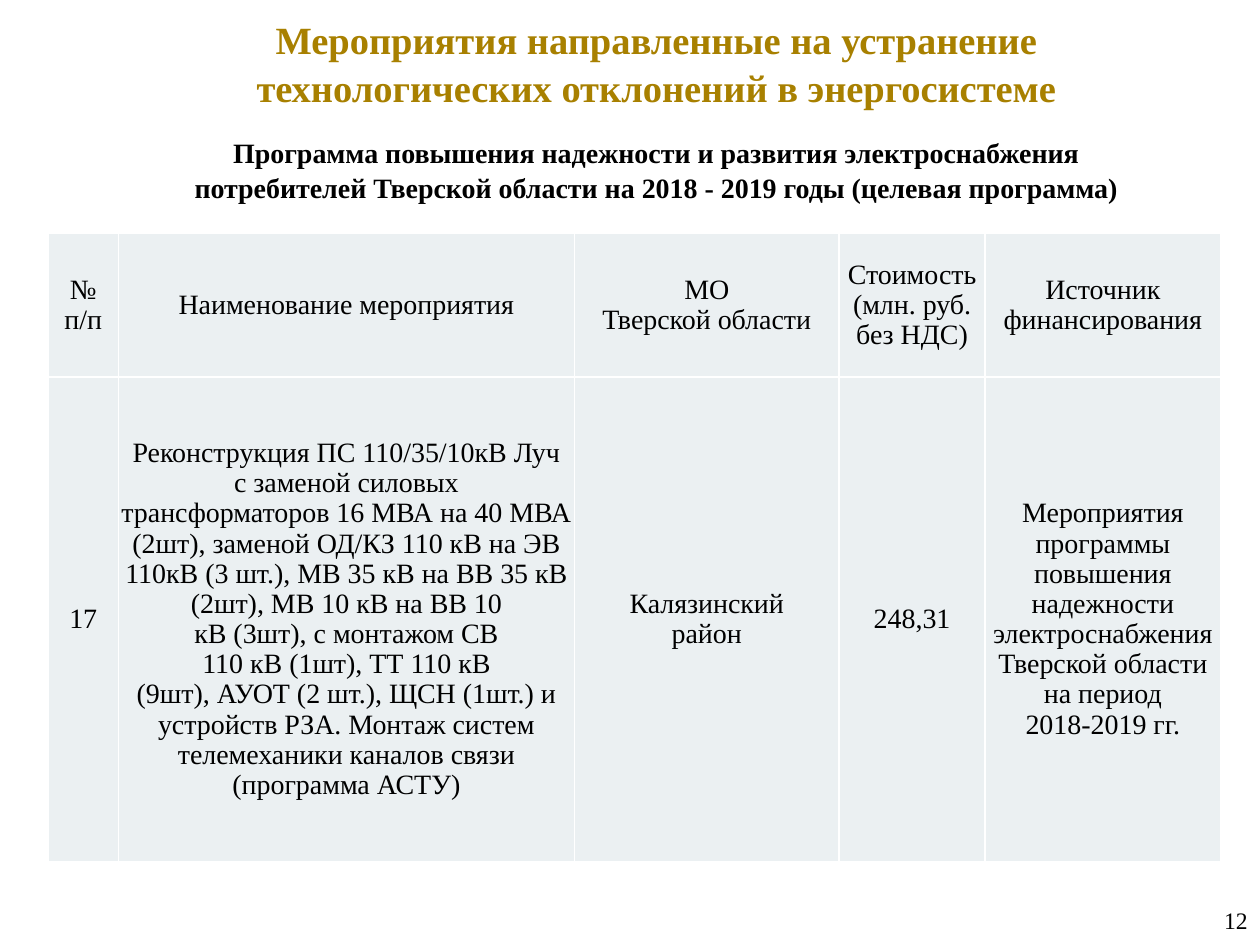
"""Build the slide on grid reliability measures in the Tver region."""
from dataclasses import dataclass

from lxml.etree import SubElement
from pptx import Presentation
from pptx.dml.color import RGBColor
from pptx.enum.text import MSO_ANCHOR, MSO_AUTO_SIZE, PP_ALIGN
from pptx.oxml.ns import qn
from pptx.util import Pt


@dataclass(frozen=True)
class Theme:
    font: str = "Times New Roman"
    gold: str = "A88000"
    black: str = "000000"
    white: str = "FFFFFF"
    cell: str = "EBF0F2"
    title: float = 22
    text: float = 16
    number: float = 13.5


theme = Theme()


def format_paragraph(p, size, color, align=PP_ALIGN.CENTER, bold=False):
    p.alignment = align
    for r in p.runs:
        r.font.name = theme.font
        r.font.size = Pt(size)
        r.font.bold = bold
        r.font.color.rgb = RGBColor.from_string(color)


def add_borders(cell, color, width):
    tc_pr = cell._tc.get_or_add_tcPr()
    for side in ("a:lnL", "a:lnR", "a:lnT", "a:lnB"):
        ln = SubElement(tc_pr, qn(side), w=str(Pt(width)))
        fill = SubElement(ln, qn("a:solidFill"))
        SubElement(fill, qn("a:srgbClr"), val=color)


prs = Presentation()
prs.slide_width, prs.slide_height = Pt(720), Pt(540)
s = prs.slides.add_slide(prs.slide_layouts[5])

title = s.shapes.title
title.left, title.top, title.width, title.height = Pt(101.5), Pt(3.6), Pt(547), Pt(45.4)
tf = title.text_frame
tf.text = (
    "Мероприятия направленные на устранение технологических отклонений в энергосистеме\n"
    "Программа повышения надежности и развития электроснабжения "
    "потребителей Тверской области на 2018 - 2019 годы (целевая программа)"
)
tf.word_wrap = True
tf.auto_size = MSO_AUTO_SIZE.NONE
tf.vertical_anchor = MSO_ANCHOR.TOP
tf.margin_top = Pt(5)
heading, program = tf.paragraphs
format_paragraph(heading, theme.title, theme.gold, bold=True)
format_paragraph(program, theme.text, theme.black, bold=True)
heading.line_spacing = program.line_spacing = 1.03
program.space_before = Pt(14)

number = s.shapes.add_textbox(Pt(578), Pt(512), Pt(142), Pt(28))
tf = number.text_frame
tf.text = "12"
tf.word_wrap = True
tf.vertical_anchor = MSO_ANCHOR.MIDDLE
format_paragraph(tf.paragraphs[0], theme.number, theme.black, PP_ALIGN.RIGHT)

rows = [
    [
        "№ п/п",
        "Наименование мероприятия",
        "МО\nТверской области",
        "Стоимость (млн. руб. без НДС)",
        "Источник финансирования",
    ],
    [
        "17",
        "Реконструкция ПС 110/35/10кВ Луч\vс заменой силовых\v"
        "трансформаторов 16 МВА на 40 МВА\v(2шт), заменой ОД/КЗ 110 кВ на ЭВ\v"
        "110кВ (3 шт.), МВ 35 кВ на ВВ 35 кВ\v(2шт), МВ 10 кВ на ВВ 10\v"
        "кВ (3шт), с монтажом СВ\v110 кВ (1шт), ТТ 110 кВ\v"
        "(9шт), АУОТ (2 шт.), ЩСН (1шт.) и\vустройств РЗА. Монтаж систем\v"
        "телемеханики каналов связи\v(программа АСТУ)",
        "Калязинский\nрайон",
        "248,31",
        "Мероприятия программы повышения надежности электроснабжения "
        "Тверской области на период\v2018-2019 гг.",
    ],
]
col_widths = [40.3, 260.6, 151.2, 83.5, 134.6]
row_heights = [82, 277.2]

frame = s.shapes.add_table(
    len(rows), len(col_widths), Pt(27.4), Pt(133.4), Pt(sum(col_widths)), Pt(sum(row_heights))
)
table = frame.table
table.first_row = table.horz_banding = False
for column, width in zip(table.columns, col_widths):
    column.width = Pt(width)
for row, height, texts in zip(table.rows, row_heights, rows):
    row.height = Pt(height)
    for cell, text in zip(row.cells, texts):
        cell.text_frame.text = text
        cell.vertical_anchor = MSO_ANCHOR.MIDDLE
        cell.margin_left = cell.margin_right = cell.margin_top = cell.margin_bottom = 0
        add_borders(cell, theme.white, 1)
        cell.fill.solid()
        cell.fill.fore_color.rgb = RGBColor.from_string(theme.cell)
        for p in cell.text_frame.paragraphs:
            format_paragraph(p, theme.text, theme.black)
            p.line_spacing = 0.97

prs.save("out.pptx")
